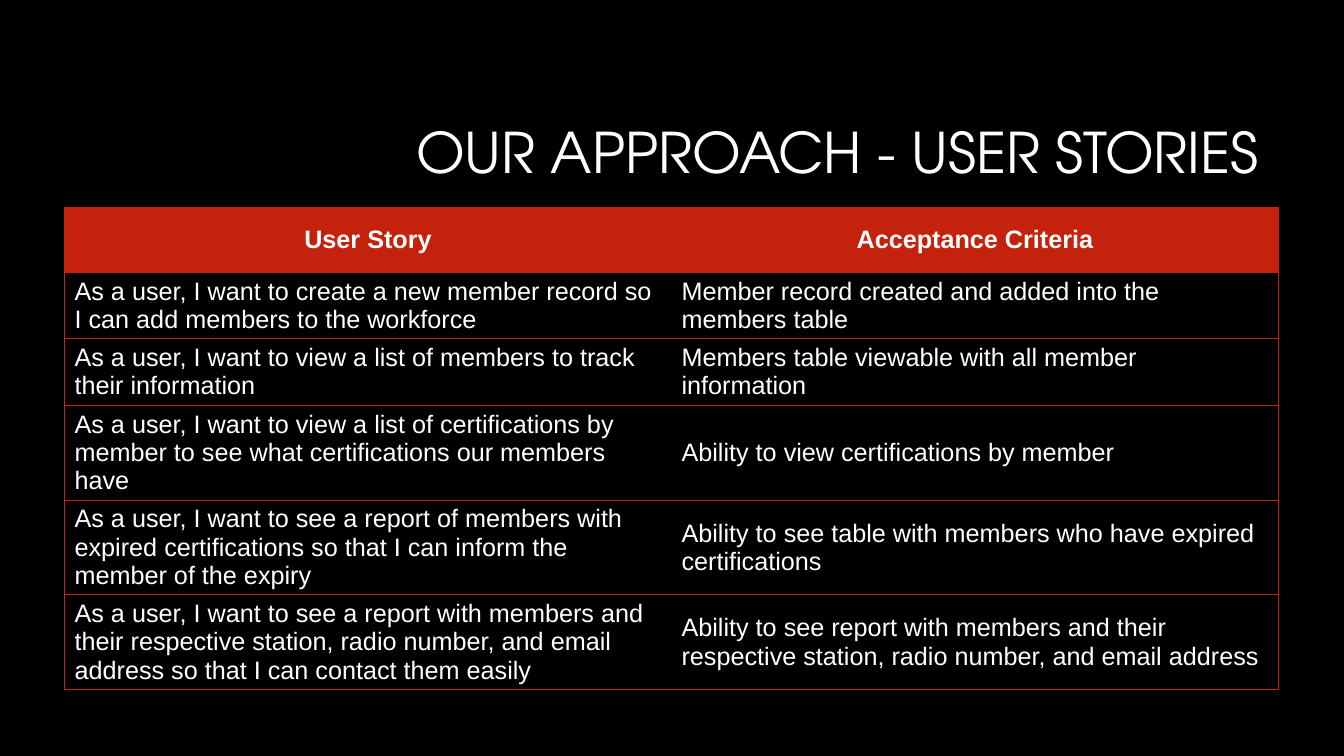
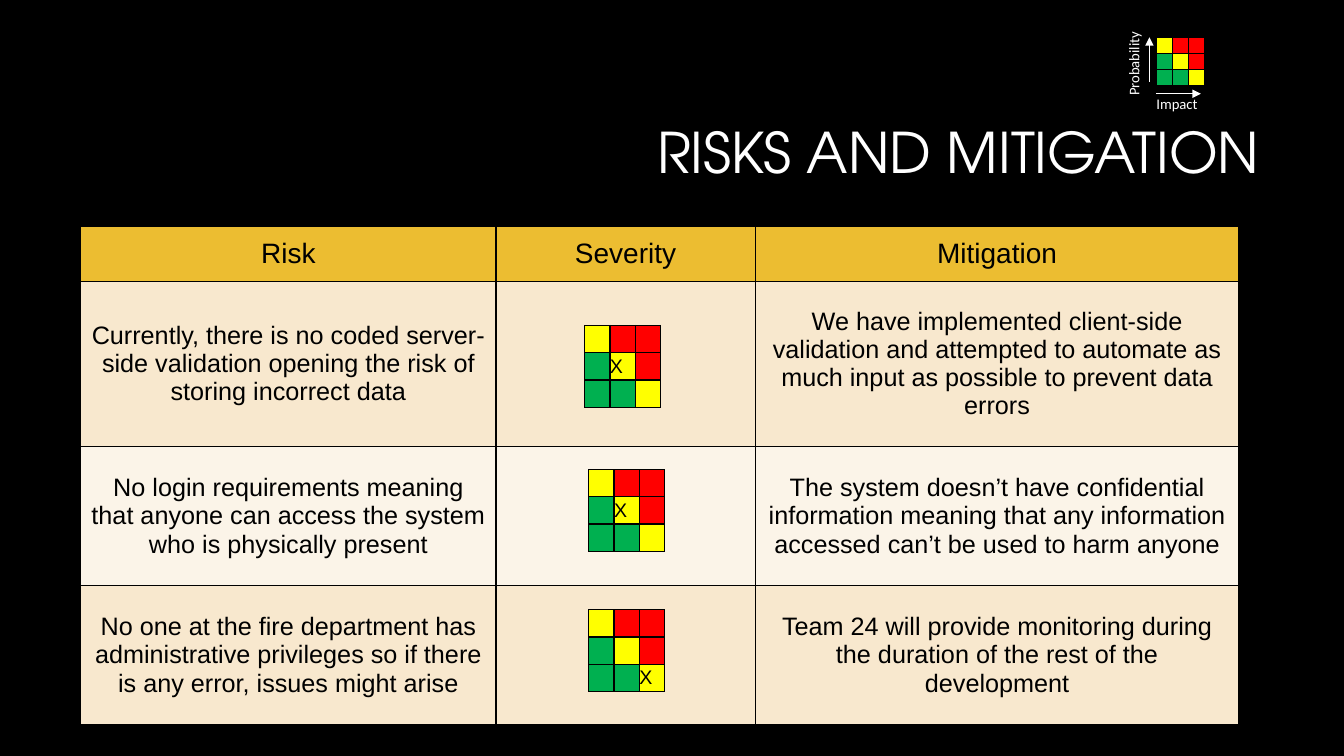
from lxml.etree import SubElement
from pptx import Presentation
from pptx.dml.color import RGBColor
from pptx.enum.shapes import MSO_CONNECTOR as CONN
from pptx.enum.text import MSO_ANCHOR as ANCHOR, MSO_AUTO_SIZE as FIT, PP_ALIGN as ALIGN
from pptx.oxml.ns import qn
from pptx.util import Inches, Pt

BLACK, WHITE = "000000", "FFFFFF"
RED, GOLD = "C4220D", "ECBD31"
SAND, CREAM = "F8E8CE", "FBF4E8"
LOW, MEDIUM, HIGH = "00B050", "FFFF00", "FF0000"
SIDES = "LRTB"

STORIES = [
    ("User Story", "Acceptance Criteria"),
    ("As a user, I want to create a new member record so I can add members to the workforce",
     "Member record created and added into the members table"),
    ("As a user, I want to view a list of members to track their information",
     "Members table viewable with all member information"),
    ("As a user, I want to view a list of certifications by member to see what "
     "certifications our members have",
     "Ability to view certifications by member"),
    ("As a user, I want to see a report of members with expired certifications so that "
     "I can inform the member of the expiry",
     "Ability to see table with members who have expired certifications"),
    ("As a user, I want to see a report with members and their respective station, "
     "radio number, and email address so that I can contact them easily",
     "Ability to see report with members and their respective station, radio number, "
     "and email address"),
]
RISKS = [
    ("Risk", "Severity", "Mitigation"),
    ("Currently, there is no coded server-side validation opening the risk of storing "
     "incorrect data", "",
     "We have implemented client-side validation and attempted to automate as much input "
     "as possible to prevent data errors"),
    ("No login requirements meaning that anyone can access the system who is physically "
     "present", "",
     "The system doesn’t have confidential information meaning that any information "
     "accessed can’t be used to harm anyone"),
    ("No one at the fire department has administrative privileges so if there is any "
     "error, issues might arise", "",
     "Team 24 will provide monitoring during the duration of the rest of the development"),
]


def rgb(value):
    """Turn a hex string into a colour."""
    return RGBColor.from_string(value)


class Deck:
    """Hold the shared style and the slide being built."""

    title_font, body_font, label_font = "TeX Gyre Adventor", "Arial", "Calibri"

    def __init__(self):
        """Start an empty widescreen presentation."""
        self.prs = Presentation()
        self.prs.slide_width, self.prs.slide_height = Inches(13.33), Inches(7.5)
        self.s = None

    def slide(self, title, left, width):
        """Add a black slide with a right-aligned title."""
        self.s = self.prs.slides.add_slide(self.prs.slide_layouts[5])
        fill = self.s.background.fill
        fill.solid()
        fill.fore_color.rgb = rgb(BLACK)
        sp = self.s.shapes.title
        place = {"left": left, "top": 0.84, "width": width, "height": 1.41}
        for name, value in place.items():
            setattr(sp, name, Inches(value))
        tf = sp.text_frame
        tf.auto_size, tf.vertical_anchor = FIT.NONE, ANCHOR.MIDDLE
        self.put_text(tf, title, 40, WHITE, self.title_font, alignment=ALIGN.RIGHT,
                      line_spacing=0.9)

    def put_text(self, tf, text, size, color, font, bold=False, **paragraph):
        """Fill a text frame with one formatted paragraph."""
        tf.word_wrap = True
        p = tf.paragraphs[0]
        for name, value in paragraph.items():
            setattr(p, name, value)
        if not text:
            p._p.get_or_add_endParaRPr().set("sz", str(size * 100))
            return
        r = p.add_run()
        r.text = text
        for name, value in {"size": Pt(size), "name": font, "bold": bold}.items():
            setattr(r.font, name, value)
        r.font.color.rgb = rgb(color)

    def table(self, left, top, cols, rows):
        """Add a plain table with the given column widths and row heights."""
        frame = self.s.shapes.add_table(len(rows), len(cols), Inches(left), Inches(top),
                                        Inches(sum(cols)), Inches(sum(rows)))
        table = frame.table
        table.first_row = table.horz_banding = False
        for column, width in zip(table.columns, cols):
            column.width = Inches(width)
        for row, height in zip(table.rows, rows):
            row.height = Inches(height)
        return table

    def cell(self, cell, text, size, color, fill, line, width, sides=SIDES, inset=None,
             bold=False, align=ALIGN.LEFT):
        """Format one table cell, its borders and its text."""
        tc_pr = cell._tc.get_or_add_tcPr()
        for side in SIDES:
            ln = SubElement(tc_pr, qn(f"a:ln{side}"), w=str(Pt(width)))
            if side in sides:
                SubElement(SubElement(ln, qn("a:solidFill")), qn("a:srgbClr"), val=line)
            else:
                SubElement(ln, qn("a:noFill"))
        if fill:
            cell.fill.solid()
            cell.fill.fore_color.rgb = rgb(fill)
        else:
            cell.fill.background()
        cell.vertical_anchor = ANCHOR.MIDDLE
        if inset is not None:
            for edge in ("left", "right", "top", "bottom"):
                setattr(cell, f"margin_{edge}", Inches(inset))
        self.put_text(cell.text_frame, text, size, color, self.body_font, bold, alignment=align)

    def matrix(self, left, top, width, height, mark=None):
        """Add a three by three severity matrix, with an X at the marked cell."""
        table = self.table(left, top, [width] * 3, [height] * 3)
        for i in range(3):
            for j in range(3):
                fill = MEDIUM if i == j else HIGH if j > i else LOW
                text, size = ("X", 14) if (i, j) == mark else ("", 6)
                self.cell(table.cell(i, j), text, size, BLACK, fill, BLACK, 1, inset=0)

    def label(self, text, left, top, rotation=0):
        """Add a small axis label."""
        sp = self.s.shapes.add_textbox(Inches(left), Inches(top), Inches(0.88), Inches(0.2))
        sp.rotation = rotation
        tf = sp.text_frame
        margins = {"left": 0, "top": 0.04, "right": 0, "bottom": 0}
        for edge, value in margins.items():
            setattr(tf, f"margin_{edge}", Inches(value))
        tf.auto_size = FIT.SHAPE_TO_FIT_TEXT
        self.put_text(tf, text, 10.5, WHITE, self.label_font, line_spacing=0.85,
                      space_after=Pt(6))

    def arrow(self, x1, y1, x2, y2):
        """Add a thin white arrow."""
        line = self.s.shapes.add_connector(CONN.STRAIGHT, *map(Inches, (x1, y1, x2, y2)))
        line.line.color.rgb = rgb(WHITE)
        line.line.width = Pt(0.75)
        SubElement(line.line._get_or_add_ln(), qn("a:tailEnd"), type="triangle")
        SubElement(line._element.spPr, qn("a:effectLst"))


def user_stories(deck):
    """Build the user story slide."""
    deck.slide("OUR APPROACH - USER STORIES", 1.79, 10.79)
    table = deck.table(0.64, 2.06, [6.02] * 2, [0.64] + [0.66] * 2 + [0.94] * 3)
    for i, row in enumerate(STORIES):
        head = i == 0
        for j, text in enumerate(row):
            deck.cell(table.cell(i, j), text, 18, WHITE, RED if head else None, RED, 0.75,
                      sides="LTB" if j == 0 else "RTB", bold=head,
                      align=ALIGN.CENTER if head else ALIGN.LEFT)


def risks(deck):
    """Build the risk slide with its severity matrices and key."""
    deck.slide("RISKS AND MITIGATION", 3.17, 9.42)
    table = deck.table(0.8, 2.25, [4.12, 2.57, 4.8], [0.54, 1.64, 1.38, 1.38])
    for i, (row, fill) in enumerate(zip(RISKS, (GOLD, SAND, CREAM, SAND))):
        for j, text in enumerate(row):
            deck.cell(table.cell(i, j), text, 18 if i else 20, BLACK, fill, BLACK, 1,
                      align=ALIGN.CENTER)
    for left, top, mark in ((5.8, 3.23, (1, 1)), (5.84, 4.66, (1, 1)), (5.84, 6.05, (2, 2))):
        deck.matrix(left, top, 0.25, 0.27, mark)
    deck.matrix(11.47, 0.37, 0.16, 0.16)
    deck.label("Probability", 10.8, 0.41, 270)
    deck.label("Impact", 11.47, 0.93)
    deck.arrow(11.4, 0.81, 11.4, 0.37)
    deck.arrow(11.47, 0.93, 11.91, 0.93)


def main():
    """Build and save the slides."""
    deck = Deck()
    user_stories(deck)
    risks(deck)
    deck.prs.save("out.pptx")


if __name__ == "__main__":
    main()
